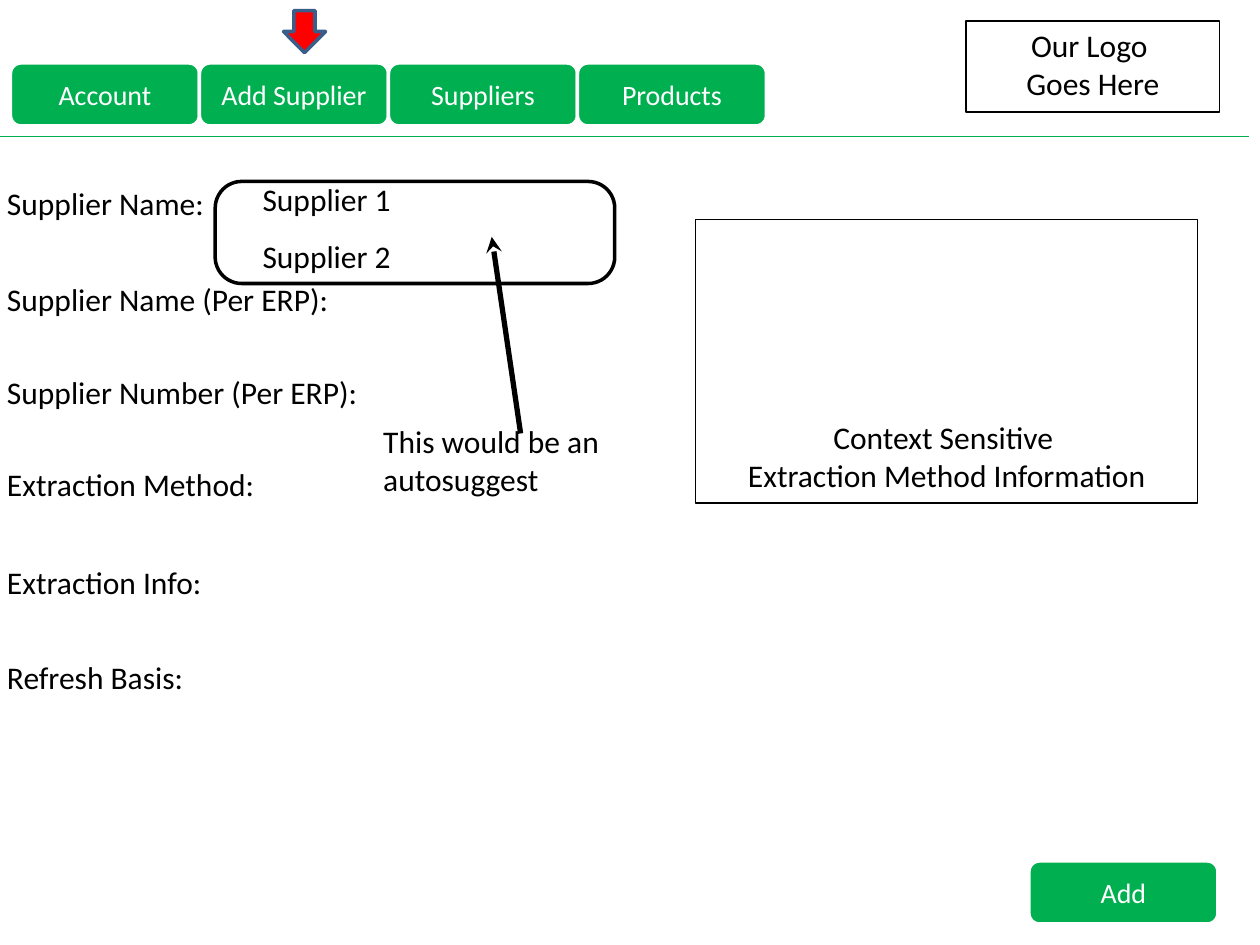
from lxml.etree import SubElement
from pptx import Presentation
from pptx.dml.color import RGBColor
from pptx.enum.shapes import MSO_CONNECTOR, MSO_SHAPE
from pptx.enum.text import MSO_ANCHOR, PP_ALIGN
from pptx.oxml.ns import qn
from pptx.util import Pt

COLORS = {"green": "00B050", "white": "FFFFFF", "black": "000000",
          "red": "FF0000", "navy": "395E89"}
FONT = "Calibri"
TABS = ["Account", "Add Supplier", "Suppliers", "Products"]
TAB_LEFT, TAB_TOP, TAB_WIDTH, TAB_HEIGHT = 6, 36, 108, 36
FIELDS = [
    ("Supplier Name:", 102),
    ("Supplier Name (Per ERP):", 157),
    ("Supplier Number (Per ERP):", 210),
    ("Extraction Method:", 263),
    ("Extraction Info:", 319),
    ("Refresh Basis:", 373),
]
SUGGESTIONS = [("Supplier 1", 103), ("Supplier 2", 135.4)]
NOTE = "This would be an autosuggest"
LOGO_LINES = ["Our Logo ", "Goes Here"]
CONTEXT_LINES = ["Context Sensitive ", "Extraction Method Information"]


def color(name):
    """Return the named colour."""
    return RGBColor.from_string(COLORS[name])


def write(holder, lines, size=18, ink="black", align=PP_ALIGN.LEFT,
          anchor=MSO_ANCHOR.TOP, inset=3, bottom=3, wrap=True):
    """Fill a shape with formatted paragraphs."""
    frame = holder.text_frame
    frame.word_wrap = wrap
    frame.vertical_anchor = anchor
    frame.margin_left = frame.margin_right = frame.margin_top = Pt(inset)
    frame.margin_bottom = Pt(bottom)
    frame.text = "\n".join(lines)
    for paragraph in frame.paragraphs:
        paragraph.alignment = align
        paragraph.font.name = FONT
        paragraph.font.size = Pt(size)
        paragraph.font.color.rgb = color(ink)


def add_box(slide, kind, bounds, line, weight, fill=None):
    """Add an outlined preset shape."""
    box = slide.shapes.add_shape(kind, *map(Pt, bounds))
    box.shadow.inherit = False
    if fill:
        box.fill.solid()
        box.fill.fore_color.rgb = color(fill)
    else:
        box.fill.background()
    box.line.color.rgb = color(line)
    box.line.width = Pt(weight)
    return box


def add_button(slide, caption, left, top):
    """Add a green button."""
    button = add_box(slide, MSO_SHAPE.ROUNDED_RECTANGLE,
                     (left, top, TAB_WIDTH, TAB_HEIGHT), "white", 2, "green")
    write(button, [caption], 16, "white", PP_ALIGN.CENTER, MSO_ANCHOR.MIDDLE)


def add_text(slide, caption, bounds, **style):
    """Add a text box."""
    write(slide.shapes.add_textbox(*map(Pt, bounds)), [caption], **style)


def add_line(slide, ends, ink, weight):
    """Add a straight line without shadow."""
    line = slide.shapes.add_connector(MSO_CONNECTOR.STRAIGHT, *map(Pt, ends))
    line.line.color.rgb = color(ink)
    line.line.width = Pt(weight)
    SubElement(line._element.spPr, qn("a:effectLst"))
    return line


def main():
    """Build the supplier form slide."""
    deck = Presentation()
    deck.slide_width, deck.slide_height = Pt(720), Pt(540)
    slide = deck.slides.add_slide(deck.slide_layouts[6])

    for index, caption in enumerate(TABS):
        add_button(slide, caption, TAB_LEFT + index * TAB_WIDTH, TAB_TOP)
    add_line(slide, (0, 78, 714, 78), "green", 0.75)
    add_box(slide, MSO_SHAPE.DOWN_ARROW, (162, 6, 24, 24), "navy", 2, "red")

    for caption, top in FIELDS:
        add_text(slide, caption, (1, top, 207, 27.5), wrap=False)
    add_button(slide, "Add", 588, 492)

    context = add_box(slide, MSO_SHAPE.RECTANGLE, (397.5, 125.5, 287, 162), "black", 0.75)
    write(context, CONTEXT_LINES, align=PP_ALIGN.CENTER,
          anchor=MSO_ANCHOR.BOTTOM, bottom=5.4)
    logo = add_box(slide, MSO_SHAPE.RECTANGLE, (552, 12, 145, 52), "black", 0.75)
    write(logo, LOGO_LINES, align=PP_ALIGN.CENTER)

    dropdown = add_box(slide, MSO_SHAPE.ROUNDED_RECTANGLE,
                       (123, 103.7, 228.3, 58.3), "black", 2)
    dropdown.adjustments[0] = 0.26
    for caption, top in SUGGESTIONS:
        add_text(slide, caption, (150, top, 157, 28), inset=0, bottom=0)

    pointer = add_line(slide, (281, 135.4, 297.5, 247.7), "black", 3)
    SubElement(pointer.line._get_or_add_ln(), qn("a:headEnd"), type="stealth")
    add_text(slide, NOTE, (219, 241.2, 169, 50), inset=0, bottom=0)

    deck.save("out.pptx")


if __name__ == "__main__":
    main()
